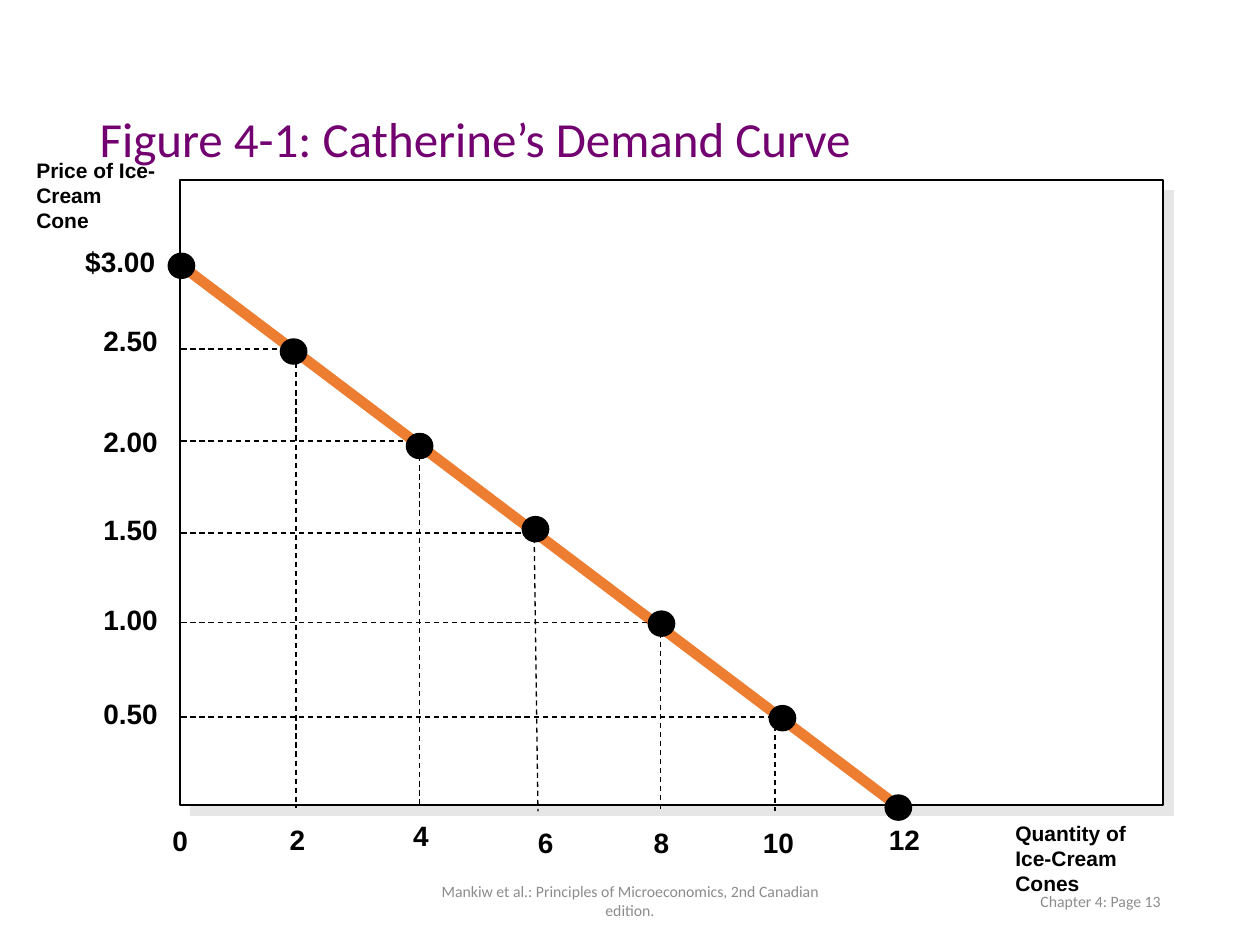
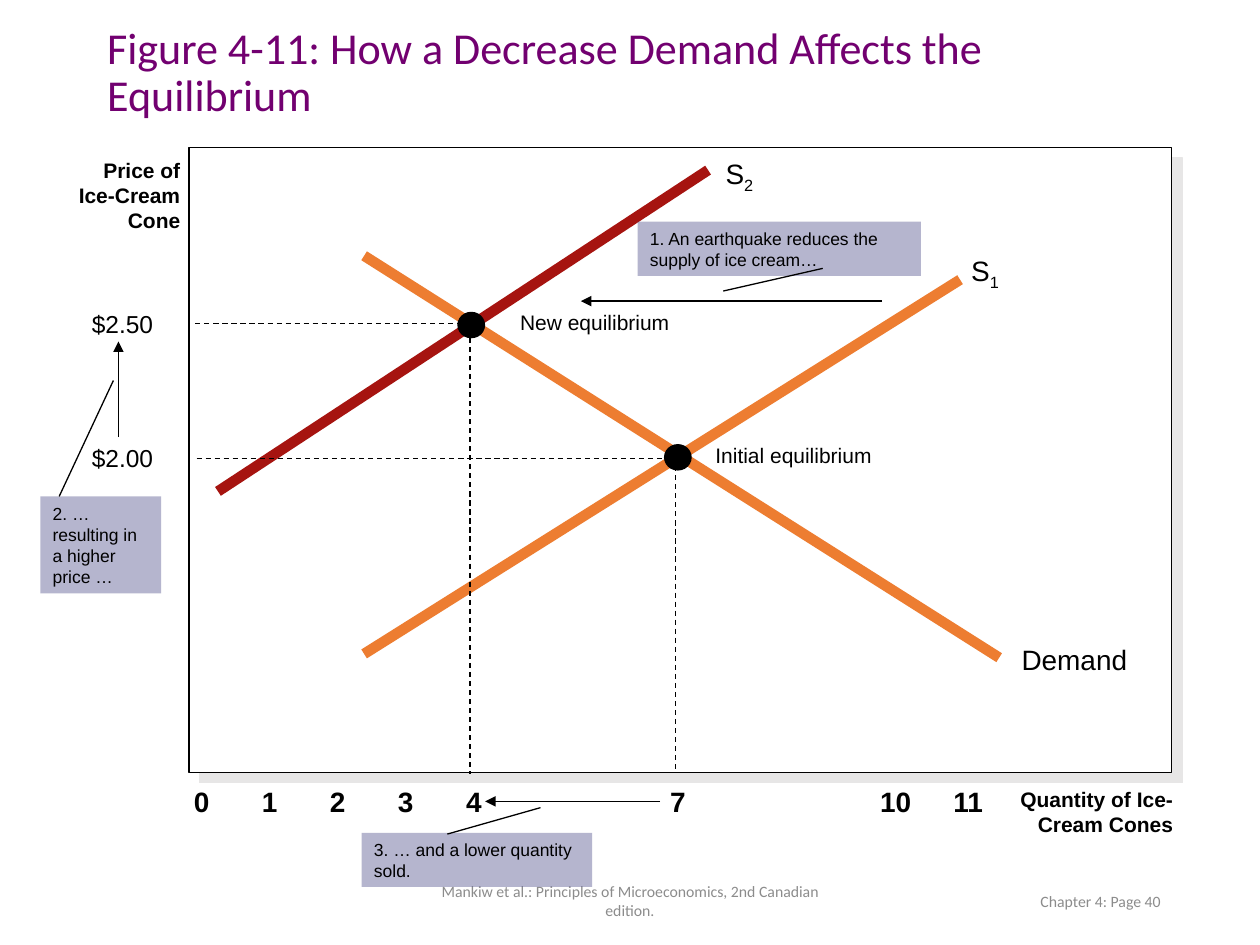
"""Build two slides of supply and demand figures for ice cream."""
from dataclasses import dataclass

from lxml.etree import SubElement
from pptx import Presentation
from pptx.dml.color import RGBColor
from pptx.enum.dml import MSO_LINE
from pptx.enum.shapes import MSO_CONNECTOR, MSO_SHAPE
from pptx.enum.text import MSO_ANCHOR, MSO_AUTO_SIZE, PP_ALIGN
from pptx.oxml.ns import qn
from pptx.util import Inches, Pt

BLACK, WHITE, ORANGE, RED = "000000", "FFFFFF", "ED7D31", "A61410"
PURPLE, GREY, SHADE, SLATE = "720070", "8C8C8C", "E7E6E6", "666699"
LEFT, CENTER, RIGHT = PP_ALIGN.LEFT, PP_ALIGN.CENTER, PP_ALIGN.RIGHT
PLOT_W, PLOT_H = 7.8, 4.96
DOT_W, DOT_H = 0.21, 0.2
LABEL_W, LABEL_H = 0.58, 0.37
SOURCE = "Mankiw et al.: Principles of Microeconomics, 2nd Canadian edition."


@dataclass
class DemandPoint:
    """A point on the demand curve with its guides and axis labels."""
    price: str
    price_top: float
    quantity: str
    quantity_right: float
    quantity_top: float
    dot: tuple[float, float]
    across: tuple[float, float]
    down: tuple[float, float, float, float]


@dataclass
class Callout:
    """A shaded note with a leader line."""
    text: str
    box: tuple[float, float, float, float]
    leader: tuple[float, float, float, float]


@dataclass
class Equilibrium:
    """A crossing point with its guides, price and name."""
    price: str
    price_top: float
    name: str
    name_at: tuple[float, float]
    dot: tuple[float, float]
    across: tuple[float, float, float, float]
    down: tuple[float, float, float, float]


DEMAND = [
    DemandPoint("2.50", 2.52, "2", 2.52, 6.48, (2.33, 2.79), (2.35, 2.77), (2.35, 2.74, 2.35, 6.41)),
    DemandPoint("2.00", 3.32, "4", 3.5, 6.45, (3.33, 3.54), (3.35, 3.5), (3.33, 3.55, 3.33, 6.39)),
    DemandPoint("1.50", 4.02, "6", 4.49, 6.5, (4.25, 4.2), (4.27, 4.23), (4.24, 4.27, 4.27, 6.44)),
    DemandPoint("1.00", 4.73, "8", 5.41, 6.5, (5.25, 4.95), (5.27, 4.94), (5.24, 5.02, 5.24, 6.44)),
    DemandPoint("0.50", 5.48, "10", 6.4, 6.5, (6.21, 5.7), (6.19, 5.69), (6.15, 5.69, 6.15, 6.44)),
]
EQUILIBRIA = [
    Equilibrium("$2.00", 3.47, "Initial equilibrium", (5.58, 3.46), (5.38, 3.63),
                (1.56, 3.64, 5.28, 3.64), (5.36, 3.7, 5.36, 6.1)),
    Equilibrium("$2.50", 2.4, "New equilibrium", (4.03, 2.41), (3.74, 2.58),
                (1.55, 2.57, 3.75, 2.57), (3.73, 2.61, 3.73, 6.14)),
]
CALLOUTS = [
    Callout("1. An earthquake reduces the supply of ice cream…",
            (5.06, 1.76, 2.25, 0.43), (6.53, 2.13, 5.74, 2.31)),
    Callout("2. … resulting in a higher price …",
            (0.32, 3.94, 0.96, 0.77), (0.47, 3.94, 0.9, 3.02)),
    Callout("3. … and a lower quantity sold.",
            (2.87, 6.61, 1.83, 0.43), (3.55, 6.62, 4.29, 6.41)),
]
SHIFTS = [(7, 2.39, 4.61, 2.39), (0.94, 3.47, 0.94, 2.71), (5.24, 6.36, 3.85, 6.36)]


def rgb(value: str) -> RGBColor:
    """Turn a hex string into a colour."""
    return RGBColor.from_string(value)


def write(tf, text: str, *, size: float = 16, bold: bool = False, color: str = BLACK,
          font: str = "Arial", align=LEFT, anchor=MSO_ANCHOR.TOP, sub: str = "",
          spacing: float = 1.0) -> None:
    """Fill a text frame with one formatted paragraph."""
    tf.word_wrap = True
    tf.auto_size = MSO_AUTO_SIZE.NONE
    tf.vertical_anchor = anchor
    p = tf.paragraphs[0]
    p.alignment = align
    p.line_spacing = spacing
    for part in filter(None, (text, sub)):
        r = p.add_run()
        r.text = part
        r.font.size, r.font.bold, r.font.name = Pt(size), bold, font
        r.font.color.rgb = rgb(color)
    if sub:
        r._r.get_or_add_rPr().set("baseline", "-25000")


def add_text(slide, box: tuple, text: str, **style) -> None:
    """Add a text box."""
    write(slide.shapes.add_textbox(*map(Inches, box)).text_frame, text, **style)


def add_label(slide, right: float, top: float, text: str, width: float = LABEL_W) -> None:
    """Add a bold axis value that ends at a right edge."""
    add_text(slide, (right - width, top, width, LABEL_H), text, bold=True, align=RIGHT)


def add_line(slide, ends: tuple, *, color: str = BLACK, width: float = 0.75,
             dash: bool = False, arrow: bool = False) -> None:
    """Draw a straight line, dashed or with an arrowhead if asked."""
    cx = slide.shapes.add_connector(MSO_CONNECTOR.STRAIGHT, *map(Inches, ends))
    cx.line.color.rgb = rgb(color)
    cx.line.width = Pt(width)
    if dash:
        cx.line.dash_style = MSO_LINE.DASH
    if arrow:
        SubElement(cx.line._get_or_add_ln(), qn("a:tailEnd"), type="triangle")
    SubElement(cx._element.spPr, qn("a:effectLst"))


def add_curve(slide, ends: tuple, color: str = ORANGE) -> None:
    """Draw a thick supply or demand line."""
    add_line(slide, ends, color=color, width=6)


def add_shape(slide, kind, box: tuple, fill: str, outline: bool = True):
    """Add a filled shape without a shadow."""
    sp = slide.shapes.add_shape(kind, *map(Inches, box))
    sp.shadow.inherit = False
    sp.fill.solid()
    sp.fill.fore_color.rgb = rgb(fill)
    if outline:
        sp.line.color.rgb = rgb(BLACK)
        sp.line.width = Pt(0.75)
    else:
        sp.line.fill.background()
    return sp


def add_dot(slide, center: tuple[float, float]) -> None:
    """Mark a point on a curve."""
    x, y = center
    add_shape(slide, MSO_SHAPE.OVAL, (x - DOT_W / 2, y - DOT_H / 2, DOT_W, DOT_H), BLACK)


def add_plot(slide, left: float, top: float) -> None:
    """Add the plot frame with its hard offset shadow."""
    sp = add_shape(slide, MSO_SHAPE.RECTANGLE, (left, top, PLOT_W, PLOT_H), WHITE)
    effects = sp._element.spPr.find(qn("a:effectLst"))
    shadow = SubElement(effects, qn("a:outerShdw"), blurRad="0", dist=str(Pt(8.5)),
                        dir="2700000", algn="ctr", rotWithShape="0")
    SubElement(shadow, qn("a:srgbClr"), val=SHADE)


def add_callout(slide, note: Callout) -> None:
    """Add a translucent note and its leader line."""
    sp = add_shape(slide, MSO_SHAPE.RECTANGLE, note.box, SLATE, outline=False)
    color = sp._element.spPr.find(qn("a:solidFill")).find(qn("a:srgbClr"))
    SubElement(color, qn("a:alpha"), val="48000")
    write(sp.text_frame, note.text, size=10)
    add_line(slide, note.leader)


def add_figure(prs, title: str, box: tuple, size: float, page: int):
    """Add a slide with its title and footers."""
    slide = prs.slides.add_slide(prs.slide_layouts[5])
    sp = slide.shapes.title
    sp.left, sp.top, sp.width, sp.height = map(Inches, box)
    middle = MSO_ANCHOR.MIDDLE
    write(sp.text_frame, title, size=size, color=PURPLE, font="Calibri",
          anchor=middle, spacing=0.9)
    for left, width, text, align in ((3.31, 3.38, SOURCE, CENTER),
                                     (7.06, 2.25, f"Chapter 4: Page {page}", RIGHT)):
        add_text(slide, (left, 6.95, width, 0.4), text, size=9, color=GREY,
                 font="Calibri", align=align, anchor=middle)
    return slide


def build_demand_curve(prs) -> None:
    """Build the demand curve slide."""
    slide = add_figure(prs, "Figure 4-1: Catherine’s Demand Curve",
                       (0.69, 0.4, 8.62, 1.45), 28, 13)
    add_plot(slide, 1.43, 1.43)
    add_text(slide, (0.19, 1.2, 1.17, 0.7), "Price of Ice-Cream Cone", size=12, bold=True)
    add_text(slide, (7.96, 6.46, 1.35, 0.7), "Quantity of Ice-Cream Cones", size=12, bold=True)
    add_curve(slide, (1.43, 2.1, 7.18, 6.44))
    for point in DEMAND:
        end, y = point.across
        add_line(slide, (1.44, y, end, y), dash=True)
        add_line(slide, point.down, dash=True)
        add_dot(slide, point.dot)
        add_label(slide, 1.35, point.price_top, point.price, width=1.33)
        add_label(slide, point.quantity_right, point.quantity_top, point.quantity)
    add_dot(slide, (1.44, 2.11))
    add_dot(slide, (7.13, 6.41))
    add_label(slide, 1.33, 1.89, "$3.00", width=1.33)
    add_label(slide, 1.59, 6.49, "0")
    add_label(slide, 7.4, 6.48, "12")


def build_equilibrium_shift(prs) -> None:
    """Build the equilibrium shift slide."""
    slide = add_figure(prs, "Figure 4-11: How a Decrease Demand Affects the Equilibrium",
                       (0.75, 0.25, 8.5, 0.67), 25.2, 40)
    add_plot(slide, 1.5, 1.17)
    add_curve(slide, (2.89, 2.03, 7.93, 5.22))
    add_curve(slide, (2.89, 5.19, 7.62, 2.22))
    add_curve(slide, (1.73, 3.9, 5.62, 1.35), RED)
    add_text(slide, (8.01, 5.05, 1.1, LABEL_H), "Demand")
    add_text(slide, (7.61, 1.96, 1.17, LABEL_H), "S", sub="1")
    add_text(slide, (5.66, 1.19, LABEL_W, LABEL_H), "S", sub="2")
    add_text(slide, (0.4, 1.2, 1.13, 0.7), "Price of Ice-Cream Cone",
             size=12, bold=True, align=RIGHT)
    add_text(slide, (7.81, 6.19, 1.6, 0.5), "Quantity of Ice-Cream Cones",
             size=12, bold=True, align=RIGHT)
    for quantity in (0, 1, 2, 3, 4, 7):
        add_label(slide, 1.76 + 0.54 * quantity, 6.18, str(quantity))
    add_label(slide, 7.33, 6.18, "10")
    add_label(slide, 7.9, 6.18, "11")
    for eq in EQUILIBRIA:
        add_line(slide, eq.across, dash=True)
        add_line(slide, eq.down, dash=True)
        add_dot(slide, eq.dot)
        add_text(slide, (0.63, eq.price_top, 0.89, 0.33), eq.price, size=14)
        add_text(slide, (*eq.name_at, 1.8, 0.3), eq.name, size=12)
    for note in CALLOUTS:
        add_callout(slide, note)
    for shift in SHIFTS:
        add_line(slide, shift, arrow=True)


def main() -> None:
    """Build and save the presentation."""
    prs = Presentation()
    prs.slide_width, prs.slide_height = Inches(10), Inches(7.5)
    build_demand_curve(prs)
    build_equilibrium_shift(prs)
    prs.save("out.pptx")


if __name__ == "__main__":
    main()
